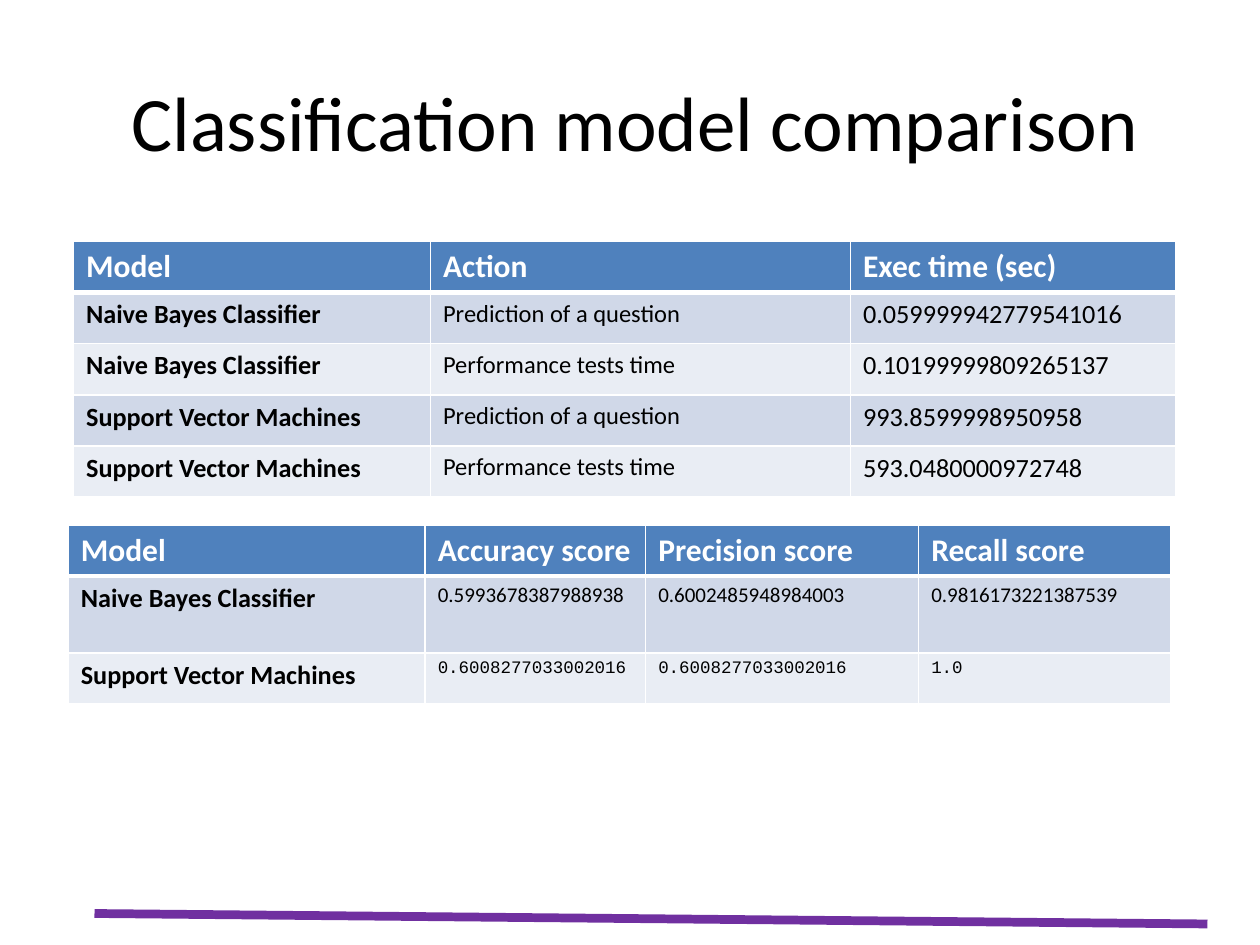
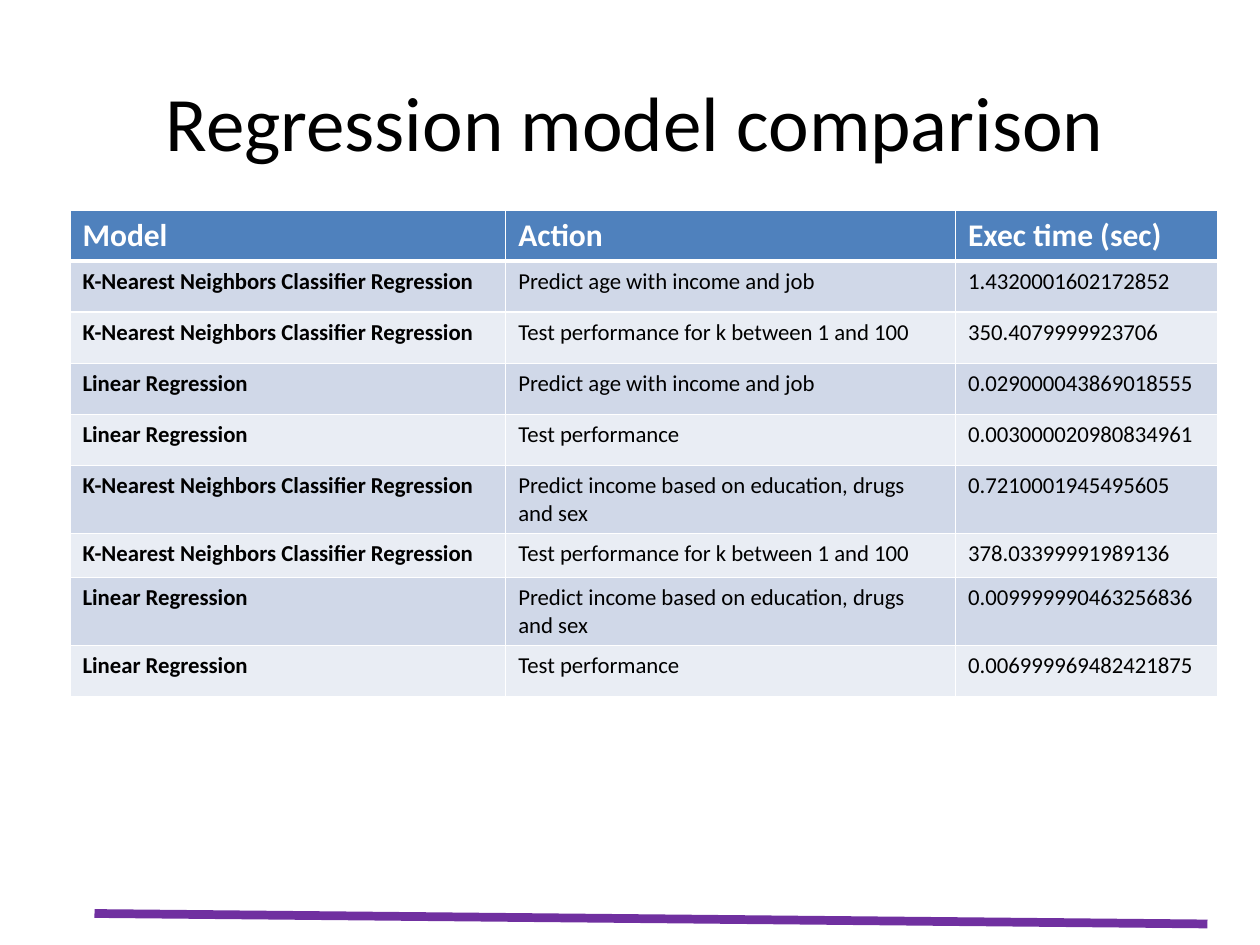
import pptx
import pptx.dml.color
import pptx.enum.shapes
import pptx.enum.text
import pptx.oxml
import pptx.oxml.ns
import pptx.util

Pt = pptx.util.Pt
COLORS = {
    "text": "000000",
    "white": "FFFFFF",
    "header": "4F81BD",
    "band_dark": "D0D8E8",
    "band_light": "E9EDF4",
    "rule": "7030A0",
}
ROW_HEIGHT = 29.2
HEADER = {"size": Pt(18), "bold": True}


def rgb(name):
    """Return the named colour of the palette."""
    return pptx.dml.color.RGBColor.from_string(COLORS[name])


def fmt(size, bold=False, name="Calibri"):
    """Return the format values of a body cell."""
    return {"size": Pt(size), "bold": bold, "name": name}


class Deck:
    """Holds the presentation, its style and the current slide."""

    def __init__(self):
        """Start an empty 10 by 7.5 inch presentation."""
        self.prs = pptx.Presentation()
        self.prs.slide_width, self.prs.slide_height = Pt(720), Pt(540)
        self.slide = None

    def add_slide(self, title):
        """Add a slide with its title and the bottom rule."""
        self.slide = self.prs.slides.add_slide(self.prs.slide_layouts[5])
        self.title(title)
        self.rule()

    def font(self, r, values, color="text"):
        """Set font attributes and colour of a run."""
        for key, value in {"name": "Calibri", **values}.items():
            setattr(r.font, key, value)
        r.font.color.rgb = rgb(color)

    def title(self, text):
        """Fill and place the title placeholder."""
        sp = self.slide.shapes.title
        box = {"left": 39, "top": 24, "width": 648, "height": 90}
        for key, value in box.items():
            setattr(sp, key, Pt(value))
        tf = sp.text_frame
        tf.vertical_anchor = pptx.enum.text.MSO_ANCHOR.MIDDLE
        p = tf.paragraphs[0]
        p.alignment = pptx.enum.text.PP_ALIGN.CENTER
        r = p.add_run()
        r.text = text
        self.font(r, {"size": Pt(44)})

    def rule(self):
        """Draw the slightly slanted purple line at the bottom."""
        line = self.slide.shapes.add_connector(
            pptx.enum.shapes.MSO_CONNECTOR.STRAIGHT,
            Pt(54), Pt(522), Pt(690), Pt(528))
        line.line.color.rgb = rgb("rule")
        line.line.width = Pt(5)
        props = line._element.spPr
        props.append(props.makeelement(pptx.oxml.ns.qn("a:effectLst"), {}))

    def borders(self, cell, top, bottom):
        """Give a cell white borders; top and bottom are widths in points."""
        widths = {"lnL": 1, "lnR": 1, "lnT": top, "lnB": bottom}
        for tag, width in widths.items():
            cell._tc.get_or_add_tcPr().append(pptx.oxml.parse_xml(
                f'<a:{tag} {pptx.oxml.ns.nsdecls("a")} w="{Pt(width)}">'
                f'<a:solidFill><a:srgbClr val="{COLORS["white"]}"/>'
                f'</a:solidFill></a:{tag}>'))

    def cell(self, cell, text, row, values):
        """Fill one table cell; its row decides colours and borders."""
        band = "band_dark" if row % 2 else "band_light"
        self.borders(cell, 3 if row == 1 else 1, 3 if row == 0 else 1)
        cell.fill.solid()
        cell.fill.fore_color.rgb = rgb(band if row else "header")
        r = cell.text_frame.paragraphs[0].add_run()
        r.text = text
        self.font(r, values, "text" if row else "white")

    def table(self, left, top, widths, header, body, formats, heights=None):
        """Add a table; formats has one list of cell formats per body row,
        heights maps row numbers to heights other than the usual one."""
        rows = [header] + body
        formats = [[HEADER] * len(header)] + formats
        heights = [(heights or {}).get(i, ROW_HEIGHT) for i in range(len(rows))]
        table = self.slide.shapes.add_table(
            len(rows), len(header), Pt(left), Pt(top),
            Pt(sum(widths)), Pt(sum(heights))).table
        for column, width in zip(table.columns, widths):
            column.width = Pt(width)
        for i, (texts, styles) in enumerate(zip(rows, formats)):
            table.rows[i].height = Pt(heights[i])
            for j, (text, values) in enumerate(zip(texts, styles)):
                self.cell(table.cell(i, j), text, i, values)


BAYES, SVM = "Naive Bayes Classifier", "Support Vector Machines"
KNN, LINEAR = "K-Nearest Neighbors Classifier Regression", "Linear Regression"
PREDICT, TESTS = "Prediction of a question", "Performance tests time"
AGE = "Predict age with income and job"
INCOME = "Predict income based on education, drugs and sex"
TEST, TEST_K = "Test performance", "Test performance for k between 1 and 100"
TIME_HEADER = ["Model", "Action", "Exec time (sec)"]

deck = Deck()

deck.add_slide("Classification model comparison")
deck.table(42, 138, [204, 240, 186], TIME_HEADER, [
    [BAYES, PREDICT, "0.059999942779541016"],
    [BAYES, TESTS, "0.10199999809265137"],
    [SVM, PREDICT, "993.8599998950958"],
    [SVM, TESTS, "593.0480000972748"],
], [[fmt(15, True), fmt(14), fmt(15)]] * 4)
deck.table(39, 300, [204, 126, 156, 144],
           ["Model", "Accuracy score", "Precision score", "Recall score"], [
    [BAYES, "0.5993678387988938", "0.6002485948984003", "0.9816173221387539"],
    [SVM, "0.6008277033002016", "0.6008277033002016", "1.0"],
], [
    [fmt(15, True)] + [fmt(12)] * 3,
    [fmt(15, True)] + [fmt(10, name="Courier New")] * 3,
], {1: 44})

deck.add_slide("Regression model comparison")
deck.table(40, 120, [249, 257, 150], TIME_HEADER, [
    [KNN, AGE, "1.4320001602172852"],
    [KNN, TEST_K, "350.4079999923706"],
    [LINEAR, AGE, "0.029000043869018555"],
    [LINEAR, TEST, "0.003000020980834961"],
    [KNN, INCOME, "0.7210001945495605"],
    [KNN, TEST_K, "378.03399991989136"],
    [LINEAR, INCOME, "0.009999990463256836"],
    [LINEAR, TEST, "0.006999969482421875"],
], [[fmt(13, True), fmt(13), fmt(13)]] * 8, {5: 39, 6: 25, 7: 39})

deck.prs.save("out.pptx")
